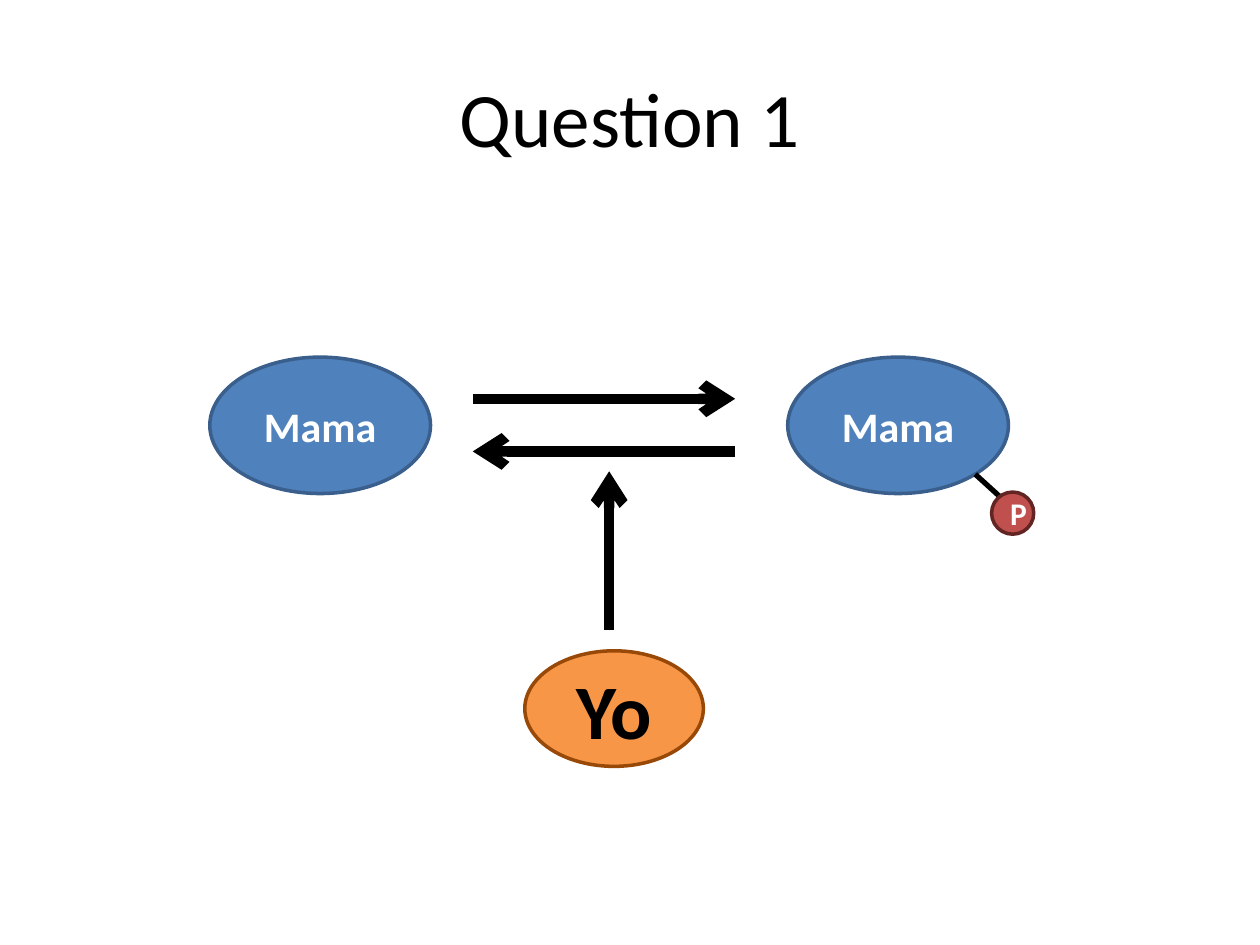
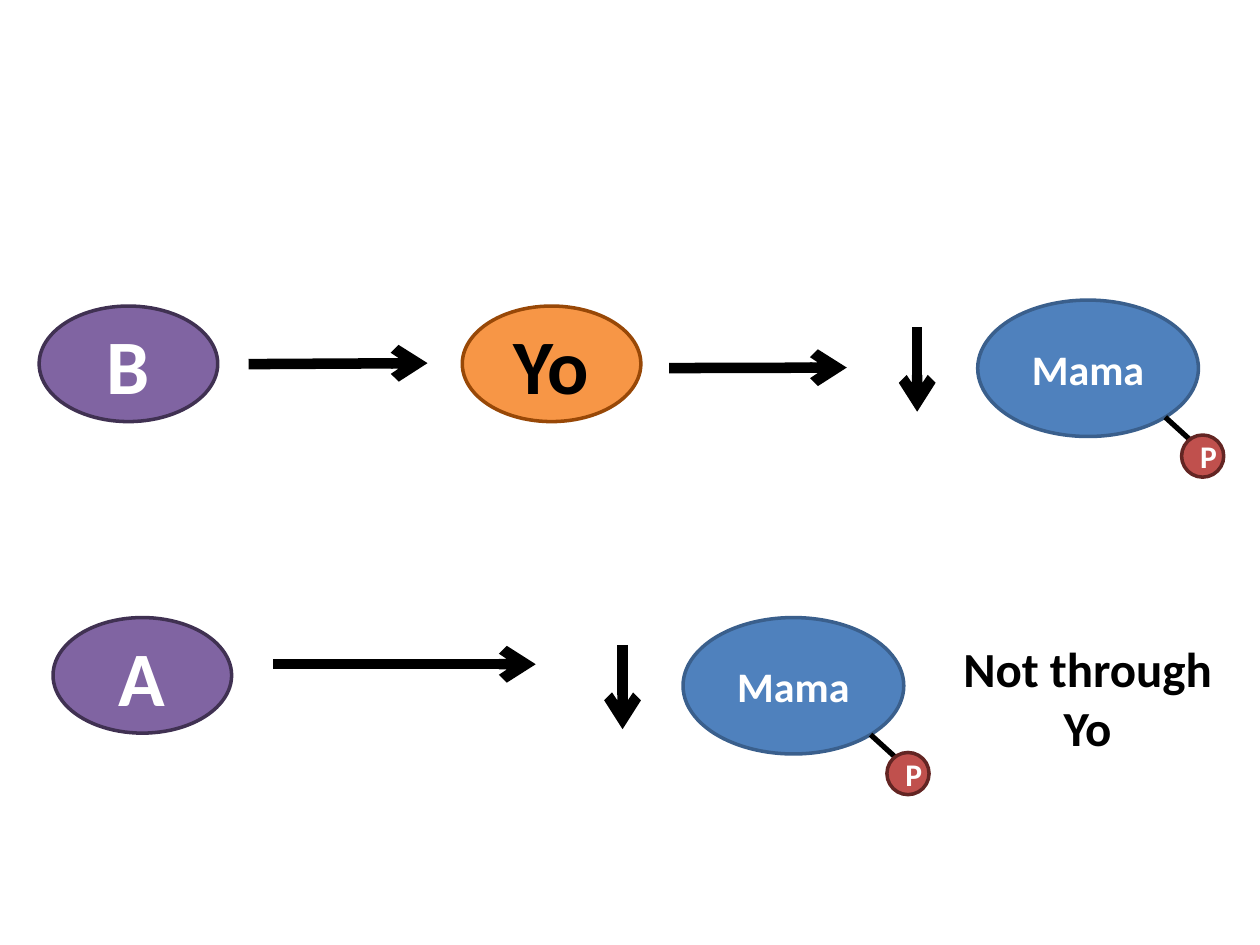
import pptx
import pptx.dml.color
import pptx.enum.shapes
import pptx.enum.text
import pptx.oxml
import pptx.oxml.ns
import pptx.util

Cm = pptx.util.Cm
Pt = pptx.util.Pt
RGBColor = pptx.dml.color.RGBColor
ShapeType = pptx.enum.shapes.MSO_SHAPE
Anchor = pptx.enum.text.MSO_ANCHOR
CENTER = pptx.enum.text.PP_ALIGN.CENTER

BLACK = RGBColor(0x00, 0x00, 0x00)
WHITE = RGBColor(0xFF, 0xFF, 0xFF)
BLUE = RGBColor(0x4F, 0x81, 0xBD)
DARK_BLUE = RGBColor(0x3A, 0x5F, 0x8C)
RED = RGBColor(0xC0, 0x50, 0x4D)
DARK_RED = RGBColor(0x63, 0x25, 0x23)
ORANGE = RGBColor(0xF7, 0x96, 0x46)
DARK_ORANGE = RGBColor(0x98, 0x48, 0x07)
PURPLE = RGBColor(0x80, 0x64, 0xA2)
DARK_PURPLE = RGBColor(0x40, 0x31, 0x52)

FONT = "Calibri"
TITLE_LAYOUT, BLANK_LAYOUT = 5, 6
TITLE_BOX = (1.27, 0.76, 22.86, 3.18)
ARROW_WIDTH, BOND_WIDTH, OUTLINE_WIDTH = 6, 3, 2

LARGE = (3.6, 2.33)
KINDS = {
    "protein": dict(shape=ShapeType.OVAL, size=(4.45, 2.75), fill=BLUE, outline=DARK_BLUE,
                    font=dict(size=Pt(24), bold=True), color=WHITE),
    "enzyme": dict(shape=ShapeType.OVAL, size=LARGE, fill=ORANGE, outline=DARK_ORANGE,
                   font=dict(size=Pt(44), bold=True), color=BLACK),
    "signal": dict(shape=ShapeType.OVAL, size=LARGE, fill=PURPLE, outline=DARK_PURPLE,
                   font=dict(size=Pt(44), bold=True), color=WHITE),
    "phosphate": dict(shape=ShapeType.FLOWCHART_CONNECTOR, size=(0.85, 0.85), fill=RED,
                      outline=DARK_RED, font=dict(size=Pt(18), bold=True), color=WHITE),
}
BOND_START, BOND_END, PHOSPHATE_OFFSET = (3.78, 2.36), (4.45, 2.97), (4.11, 2.72)

SLIDES = [
    dict(
        title="Question 1",
        nodes=[
            ("Mama", "protein", (4.23, 7.2), False),
            ("Mama", "protein", (15.88, 7.2), True),
            ("Yo", "enzyme", (10.58, 13.12), False),
        ],
        arrows=[
            ((9.53, 8.04), (14.82, 8.04)),
            ((14.82, 9.1), (9.53, 9.1)),
            ((12.28, 12.7), (12.28, 9.5)),
        ],
        notes=[],
    ),
    dict(
        title=None,
        nodes=[
            ("B", "signal", (0.79, 6.17), False),
            ("Yo", "enzyme", (9.32, 6.17), False),
            ("Mama", "protein", (19.71, 6.05), True),
            ("A", "signal", (1.07, 12.45), False),
            ("Mama", "protein", (13.77, 12.45), True),
        ],
        arrows=[
            ((5.01, 7.34), (8.62, 7.32)),
            ((13.49, 7.42), (17.07, 7.41)),
            ((18.49, 6.6), (18.49, 8.3)),
            ((5.51, 13.39), (10.8, 13.39)),
            ((12.55, 13), (12.55, 14.7)),
        ],
        notes=[(["Not through", "Yo"], (19.13, 12.75, 5.59, 2.64))],
    ),
]


def lengths(values):
    return [Cm(value) for value in values]


def shifted(position, offset):
    return tuple(start + step for start, step in zip(position, offset))


def write_text(frame, lines, font, color):
    for index, line in enumerate(lines):
        paragraph = frame.paragraphs[0] if index == 0 else frame.add_paragraph()
        paragraph.alignment = CENTER
        run = paragraph.add_run()
        run.text = line
        for name, value in {"name": FONT, **font}.items():
            setattr(run.font, name, value)
        run.font.color.rgb = color


def add_line(slide, start, end, width, arrow=False):
    line = slide.shapes.add_connector(
        pptx.enum.shapes.MSO_CONNECTOR.STRAIGHT, *lengths(start + end))
    line.line.color.rgb = BLACK
    line.line.width = Pt(width)
    if arrow:
        tail = pptx.oxml.parse_xml(
            f'<a:tailEnd {pptx.oxml.ns.nsdecls("a")} type="arrow"/>')
        line.line._get_or_add_ln().append(tail)
    effects = pptx.oxml.parse_xml(f'<a:effectLst {pptx.oxml.ns.nsdecls("a")}/>')
    line._element.spPr.append(effects)


def add_node(slide, label, kind, position, phosphorylated=False):
    style = KINDS[kind]
    shape = slide.shapes.add_shape(style["shape"], *lengths(position + style["size"]))
    shape.shadow.inherit = False
    shape.fill.solid()
    shape.fill.fore_color.rgb = style["fill"]
    shape.line.color.rgb = style["outline"]
    shape.line.width = Pt(OUTLINE_WIDTH)
    shape.text_frame.vertical_anchor = Anchor.MIDDLE
    write_text(shape.text_frame, [label], style["font"], style["color"])
    if phosphorylated:
        add_line(slide, shifted(position, BOND_START), shifted(position, BOND_END), BOND_WIDTH)
        add_node(slide, "P", "phosphate", shifted(position, PHOSPHATE_OFFSET))


def add_note(slide, lines, box):
    frame = slide.shapes.add_textbox(*lengths(box)).text_frame
    frame.word_wrap = False
    frame.auto_size = pptx.enum.text.MSO_AUTO_SIZE.SHAPE_TO_FIT_TEXT
    write_text(frame, lines, dict(size=Pt(28), bold=True), BLACK)


def add_title(slide, text):
    title = slide.shapes.title
    for name, value in zip(("left", "top", "width", "height"), lengths(TITLE_BOX)):
        setattr(title, name, value)
    title.text_frame.vertical_anchor = Anchor.MIDDLE
    write_text(title.text_frame, [text], dict(size=Pt(44)), BLACK)


def main():
    presentation = pptx.Presentation()
    presentation.slide_width, presentation.slide_height = Cm(25.4), Cm(19.05)
    for content in SLIDES:
        layout = TITLE_LAYOUT if content["title"] else BLANK_LAYOUT
        slide = presentation.slides.add_slide(presentation.slide_layouts[layout])
        if content["title"]:
            add_title(slide, content["title"])
        for node in content["nodes"]:
            add_node(slide, *node)
        for start, end in content["arrows"]:
            add_line(slide, start, end, ARROW_WIDTH, arrow=True)
        for lines, box in content["notes"]:
            add_note(slide, lines, box)
    presentation.save("out.pptx")


if __name__ == "__main__":
    main()
